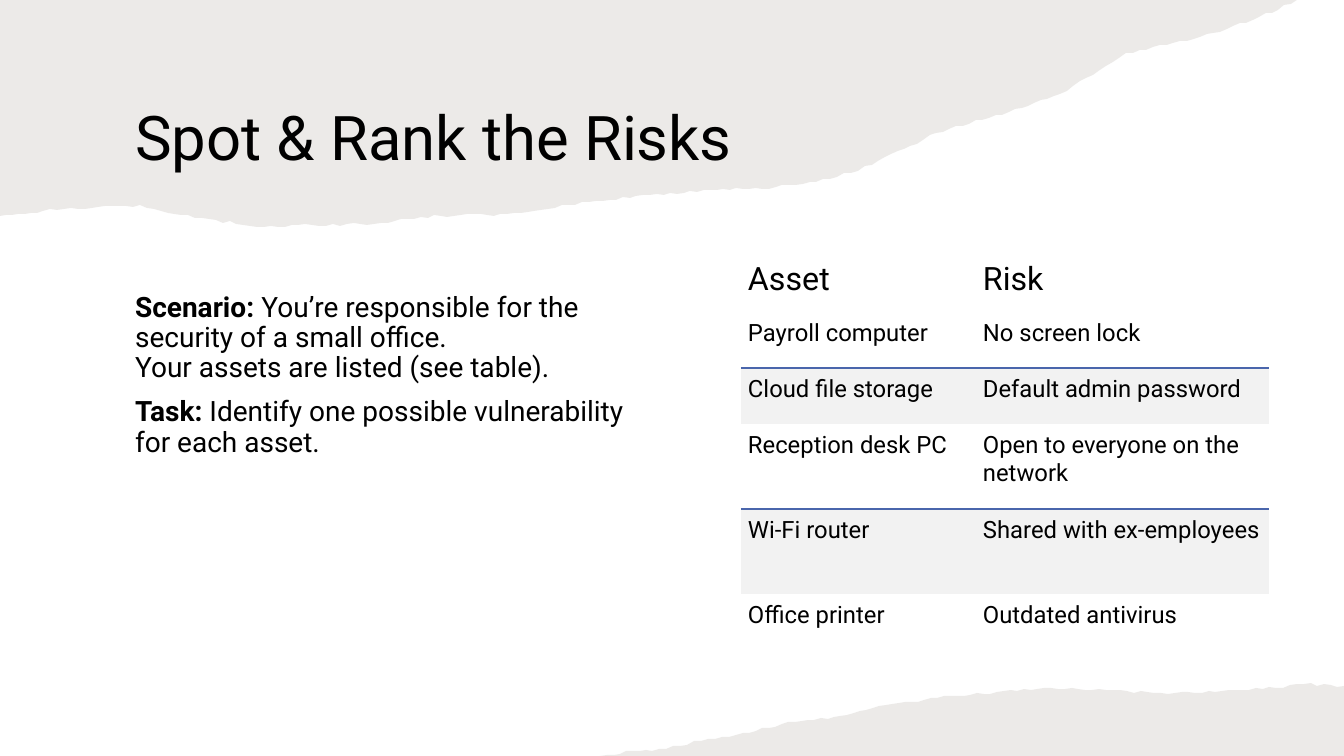
from itertools import pairwise
from math import ceil, sin

from lxml import etree
from pptx import Presentation
from pptx.dml.color import RGBColor
from pptx.enum.text import MSO_ANCHOR, MSO_AUTO_SIZE, PP_ALIGN
from pptx.oxml.ns import qn
from pptx.util import Emu, Pt

LEFT = PP_ALIGN.LEFT
TOP, MIDDLE, BOTTOM = MSO_ANCHOR.TOP, MSO_ANCHOR.MIDDLE, MSO_ANCHOR.BOTTOM
NO_AUTOFIT = MSO_AUTO_SIZE.NONE

SLIDE_WIDTH, SLIDE_HEIGHT = 1344, 756
SCALE = 12192000 / SLIDE_WIDTH
FONT = "Roboto"
COLORS = {"text": "000000", "paper": "82766A", "band": "F2F2F2", "rule": "4A66AC"}
PLAIN_TABLE_STYLE = "{2D5ABB26-0587-4C30-8999-92F81FD0307C}"

# Bends of each torn edge, left to right; tear() roughens the stretches between
TOP_BENDS = [
    (0, 216), (43, 211), (140, 205), (195, 218), (264, 227), (388, 223), (421, 217),
    (507, 214), (596, 201), (704, 190), (762, 189), (830, 179), (872, 165), (936, 133),
    (1009, 112), (1060, 94), (1126, 53), (1187, 41), (1253, 20), (1297, 0),
]
BOTTOM_BENDS = [
    (594, 756), (659, 749), (736, 735), (782, 724), (834, 717), (873, 708),
    (937, 698), (1044, 688), (1175, 693), (1276, 688), (1304, 684), (1344, 686),
]
TEAR_STEP, TEAR_DEPTH = 7, 1.2

BRIEFING = [
    ("Scenario: ", "You’re responsible for the security of a small office. \n"
                   "Your assets are listed (see table)."),
    ("Task: ", "Identify one possible vulnerability for each asset."),
]
ASSET_RISKS = [
    ("Asset", "Risk"),
    ("Payroll computer", "No screen lock"),
    ("Cloud file storage", "Default admin password"),
    ("Reception desk PC", "Open to everyone on the network"),
    ("Wi-Fi router", "Shared with ex-employees"),
    ("Office printer", "Outdated antivirus"),
]
COLUMN_WIDTHS = [235, 293]
ROW_HEIGHTS = [65, 56, 56, 85, 85, 56]
BANDED_ROWS = (2, 4)


def px(length):
    return Emu(round(length * SCALE))


def color(name):
    return RGBColor.from_string(COLORS[name])


def write(para, text, size, bold=False):
    for index, line in enumerate(text.split("\n")):
        if index:
            para.add_line_break()
        span = para.add_run()
        span.text = line
        span.font.name = FONT
        span.font.size = Pt(size)
        span.font.bold = bold
        span.font.color.rgb = color("text")


def tear(bends):
    """Join the bends by short steps that waver up and down."""
    edge = [bends[0]]
    for (left, start), (right, end) in pairwise(bends):
        steps = ceil((right - left) / TEAR_STEP)
        for step in range(1, steps):
            x = left + (right - left) * step / steps
            y = start + (end - start) * step / steps
            edge.append((x, y + TEAR_DEPTH * sin(x * x)))
        edge.append((right, end))
    return edge


def add_paper(page, bends, corner):
    builder = page.shapes.build_freeform(*corner, scale=SCALE)
    builder.add_line_segments(tear(bends), close=True)
    paper = builder.convert_to_shape()
    paper.shadow.inherit = False
    paper.line.fill.background()
    paper.fill.solid()
    paper.fill.fore_color.rgb = color("paper")
    tint = next(paper.element.spPr.iter(qn("a:srgbClr")))
    etree.SubElement(tint, qn("a:alpha"), val="15000")
    # Send behind the placeholders
    paper.element.getparent().insert(2, paper.element)


def place(box, left, top, width, height, anchor):
    box.left, box.top, box.width, box.height = map(px, (left, top, width, height))
    frame = box.text_frame
    frame.word_wrap = True
    frame.auto_size = NO_AUTOFIT
    frame.vertical_anchor = anchor
    return frame


def format_paragraph(para, space_before=0):
    para.alignment = LEFT
    para.line_spacing = 0.9
    para.space_before = Pt(space_before)


def fill_title(box, text):
    para = place(box, 125, 67, 1035, 147, MIDDLE).paragraphs[0]
    format_paragraph(para)
    write(para, text, size=44)


def fill_briefing(box):
    frame = place(box, 125, 288, 546, 431, TOP)
    for index, (label, text) in enumerate(BRIEFING):
        para = frame.add_paragraph() if index else frame.paragraphs[0]
        format_paragraph(para, space_before=10 if index else 0)
        properties = para._p.get_or_add_pPr()
        properties.set("marL", "0")
        properties.set("indent", "0")
        etree.SubElement(properties, qn("a:buNone"))
        write(para, label, size=20, bold=True)
        write(para, text, size=20)


def set_borders(cell, ruled_side):
    """Rule one side of the cell and leave the others bare."""
    for side in ("lnL", "lnR", "lnT", "lnB"):
        border = etree.SubElement(cell._tc.get_or_add_tcPr(), qn(f"a:{side}"), w=str(Pt(1)))
        if side == ruled_side:
            fill = etree.SubElement(border, qn("a:solidFill"))
            etree.SubElement(fill, qn("a:srgbClr"), val=COLORS["rule"])
        else:
            etree.SubElement(border, qn("a:noFill"))


def fill_cell(cell, text, row):
    cell.margin_left = cell.margin_right = cell.margin_top = px(7)
    cell.margin_bottom = px(14)
    cell.vertical_anchor = TOP if row else BOTTOM
    write(cell.text_frame.paragraphs[0], text, size=17 if row else 23)
    # A rule runs along the top of every banded row
    if row in BANDED_ROWS:
        set_borders(cell, "lnT")
        cell.fill.solid()
        cell.fill.fore_color.rgb = color("band")
    else:
        set_borders(cell, "lnB" if row + 1 in BANDED_ROWS else None)
        cell.fill.background()


def add_risk_table(page):
    frame = page.shapes.add_table(
        len(ROW_HEIGHTS), len(COLUMN_WIDTHS), px(741), px(247),
        px(sum(COLUMN_WIDTHS)), px(sum(ROW_HEIGHTS)))
    table = frame.table
    table.first_row = table.horz_banding = False
    next(frame.element.iter(qn("a:tableStyleId"))).text = PLAIN_TABLE_STYLE
    for column, width in zip(table.columns, COLUMN_WIDTHS):
        column.width = px(width)
    for row, (height, texts) in enumerate(zip(ROW_HEIGHTS, ASSET_RISKS)):
        table.rows[row].height = px(height)
        for column, text in enumerate(texts):
            fill_cell(table.cell(row, column), text, row)


def main():
    deck = Presentation()
    deck.slide_width, deck.slide_height = px(SLIDE_WIDTH), px(SLIDE_HEIGHT)
    page = deck.slides.add_slide(deck.slide_layouts[1])

    # Torn paper background
    add_paper(page, BOTTOM_BENDS, corner=(SLIDE_WIDTH, SLIDE_HEIGHT))
    add_paper(page, TOP_BENDS, corner=(0, 0))

    # Content
    fill_title(page.shapes.title, "Spot & Rank the Risks")
    fill_briefing(page.placeholders[1])
    add_risk_table(page)
    deck.save("out.pptx")


if __name__ == "__main__":
    main()
